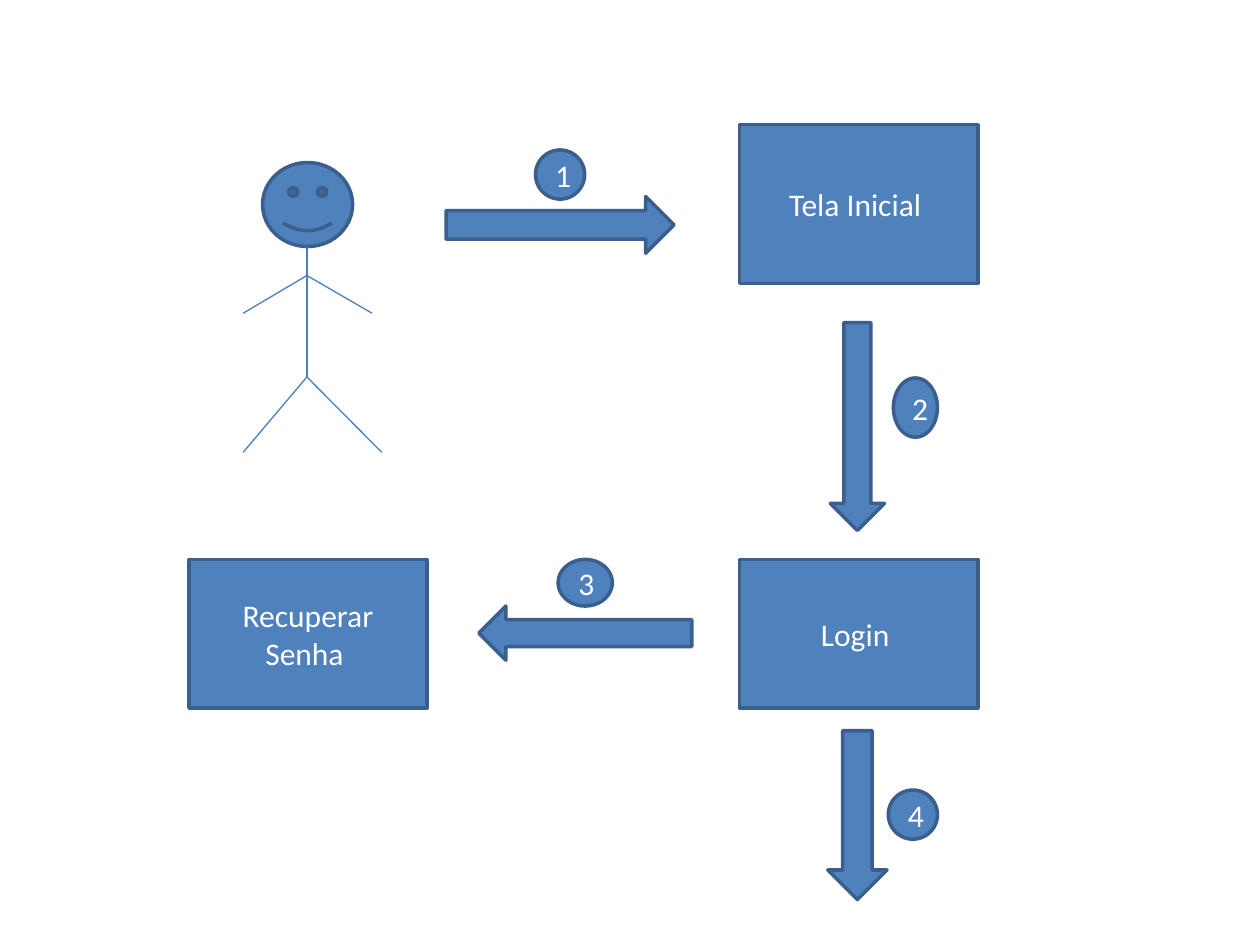
from lxml import etree
from pptx import Presentation
from pptx.dml.color import RGBColor
from pptx.enum.shapes import MSO_CONNECTOR, MSO_SHAPE
from pptx.enum.text import MSO_ANCHOR, PP_ALIGN
from pptx.oxml.ns import qn
from pptx.util import Inches, Pt

RECT, OVAL, SMILEY = MSO_SHAPE.RECTANGLE, MSO_SHAPE.OVAL, MSO_SHAPE.SMILEY_FACE
RIGHT, LEFT, DOWN = MSO_SHAPE.RIGHT_ARROW, MSO_SHAPE.LEFT_ARROW, MSO_SHAPE.DOWN_ARROW
STRAIGHT = MSO_CONNECTOR.STRAIGHT
MIDDLE, CENTER = MSO_ANCHOR.MIDDLE, PP_ALIGN.CENTER

FILL, BORDER, LIMB, WHITE = "4F81BD", "3A5F8C", "4B7EBC", "FFFFFF"
LEFT_COL, RIGHT_COL = 1.5, 5.87
TOP_ROW, BOTTOM_ROW = 0.99, 4.44
BOX_W = 1.89


def rgb(value):
    return RGBColor.from_string(value)


def add_figure(slide, kind, box, text=""):
    """Add a filled, outlined shape with an optional centred label."""
    s = slide.shapes.add_shape(kind, *map(Inches, box))
    s.shadow.inherit = False
    s.fill.solid()
    s.fill.fore_color.rgb = rgb(FILL)
    s.line.color.rgb = rgb(BORDER)
    s.line.width = Pt(2)
    if text:
        tf = s.text_frame
        tf.word_wrap = True
        tf.vertical_anchor = MIDDLE
        p = tf.paragraphs[0]
        p.text = text
        p.alignment = CENTER
        font = p.runs[0].font
        font.name, font.size = "Calibri", Pt(18)
        font.color.rgb = rgb(WHITE)
    return s


def add_limb(slide, start, end):
    c = slide.shapes.add_connector(STRAIGHT, *map(Inches, (*start, *end)))
    c.line.color.rgb = rgb(LIMB)
    c.line.width = Pt(0.75)
    etree.SubElement(c._element.spPr, qn("a:effectLst"))


def add_user(slide, x, y, w, h):
    """Draw the stick figure inside the given box."""
    def at(across, down):
        return x + across * w, y + down * h

    spine = 0.46
    neck, shoulder, hip = (at(spine, down) for down in (0.29, 0.39, 0.74))
    add_figure(slide, SMILEY, (*at(0.14, 0), 0.65 * w, 0.29 * h))
    add_limb(slide, neck, hip)
    for joint, hand_or_foot in ((shoulder, (0.93, 0.52)), (shoulder, (0, 0.52)),
                                (hip, (1, 1)), (hip, (0, 1))):
        add_limb(slide, joint, at(*hand_or_foot))


def add_step(slide, number, arrow, arrow_box, badge_box):
    add_figure(slide, arrow, arrow_box)
    add_figure(slide, OVAL, badge_box, str(number))


def main():
    prs = Presentation()
    prs.slide_width, prs.slide_height = Inches(10), Inches(7.5)
    slide = prs.slides.add_slide(prs.slide_layouts[6])

    screens = (
        ("Tela Inicial ", RIGHT_COL, TOP_ROW, 1.26),
        ("Login ", RIGHT_COL, BOTTOM_ROW, 1.18),
        ("Recuperar Senha ", LEFT_COL, BOTTOM_ROW, 1.18),
    )
    for name, x, y, h in screens:
        add_figure(slide, RECT, (x, y, BOX_W, h), name)

    add_user(slide, 1.93, 1.29, 1.1, 2.3)

    steps = (
        (RIGHT, (3.54, 1.56, 1.81, 0.45), (4.25, 1.19, 0.39, 0.39)),
        (DOWN, (6.59, 2.56, 0.43, 1.65), (7.09, 3, 0.35, 0.47)),
        (LEFT, (3.8, 4.81, 1.69, 0.43), (4.43, 4.44, 0.43, 0.37)),
        (DOWN, (6.57, 5.8, 0.47, 1.34), (7.05, 6.27, 0.39, 0.39)),
    )
    for number, step in enumerate(steps, 1):
        add_step(slide, number, *step)

    prs.save("out.pptx")


if __name__ == "__main__":
    main()
